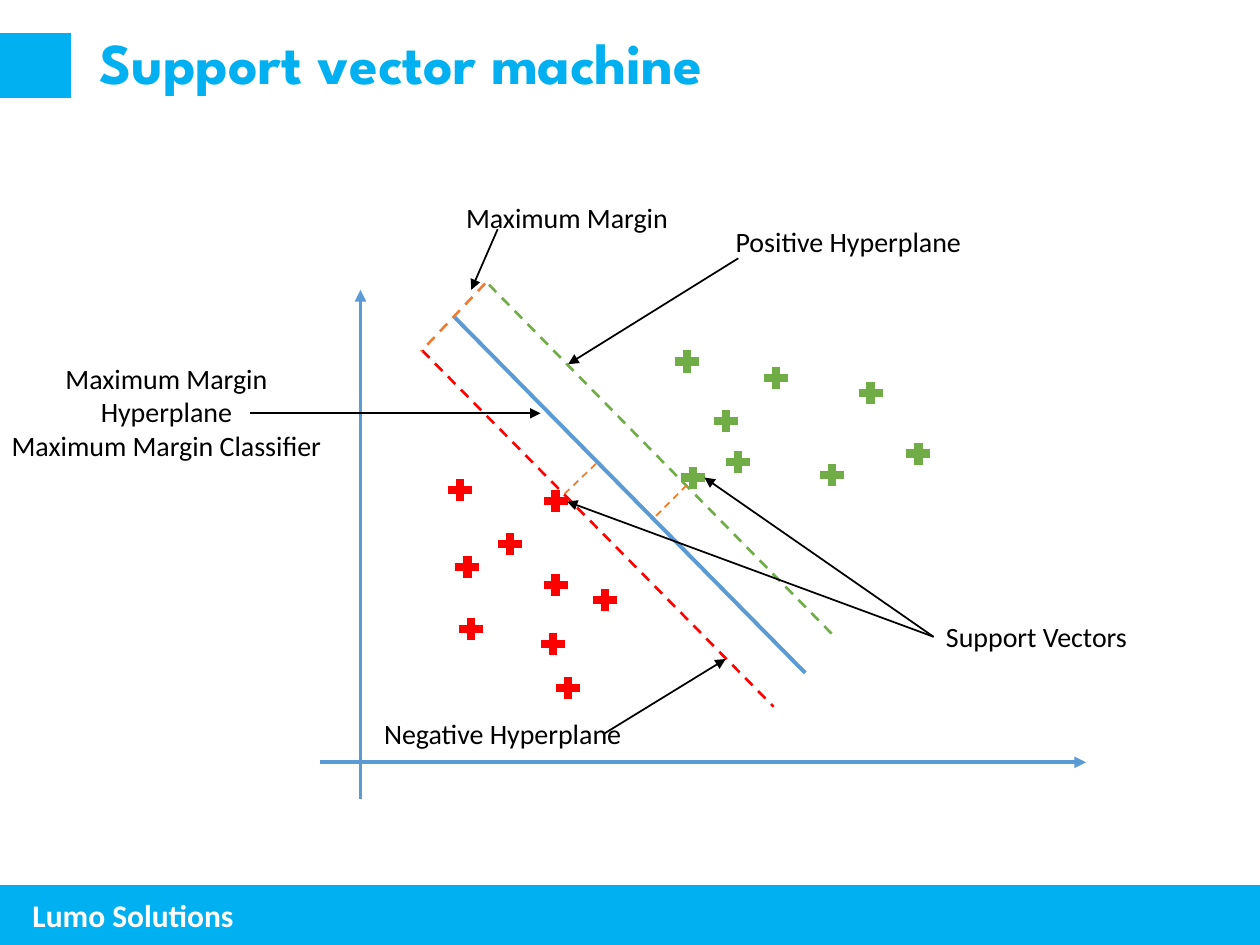
from lxml import etree
from pptx import Presentation
from pptx.dml.color import RGBColor
from pptx.enum.dml import MSO_LINE
from pptx.enum.shapes import MSO_CONNECTOR, MSO_SHAPE
from pptx.enum.text import MSO_ANCHOR, MSO_AUTO_SIZE, PP_ALIGN
from pptx.oxml.ns import qn
from pptx.util import Pt

CYAN = RGBColor(0x00, 0xB0, 0xF0)
BLUE = RGBColor(0x5B, 0x9B, 0xD5)
GREEN = RGBColor(0x70, 0xAD, 0x47)
RED = RGBColor(0xFF, 0x00, 0x00)
ORANGE = RGBColor(0xED, 0x7D, 0x31)
BLACK = RGBColor(0x00, 0x00, 0x00)
WHITE = RGBColor(0xFF, 0xFF, 0xFF)

TITLE = "Support vector machine"
FOOTER = "Lumo Solutions"
BANDS = [(0, 506.2, 720, 33.1), (0, 19.4, 40.3, 36)]

AXES = [(206, 456.5, 206, 165.6), (182.9, 435.6, 620.6, 435.6)]
HYPERPLANE = (259.9, 181.4, 460.1, 384.5)
MARGIN_LINES = [
    ((279.4, 162.7, 478.1, 365), GREEN, 1.5),
    ((241.2, 200.2, 442.1, 403.9), RED, 1.5),
    ((277.2, 162, 240.5, 200.9), ORANGE, 1.5),
    ((322.6, 282.2, 340.6, 265), ORANGE, 1),
    ((392.4, 277.2, 374.4, 295.2), ORANGE, 1),
]

PLUS_W, PLUS_H = 17.3, 15.8
POINTS = {
    RED: [(308.9, 278.6), (283, 303.1), (308.9, 326.2), (337, 334.8), (254.2, 272.2),
          (260.6, 351.4), (307.4, 360), (258.5, 316.1), (316.1, 385.2)],
    GREEN: [(387.4, 265), (488.9, 216.7), (406.1, 232.6), (413.3, 256.3),
            (383.8, 198.7), (466.6, 263.5), (516.2, 251.3), (434.9, 208.1)],
}

LABELS = [
    (["Maximum Margin"], (259.2, 110.9, 131, 26.6), PP_ALIGN.LEFT),
    (["Positive Hyperplane"], (413.3, 124.6, 144.7, 26.6), PP_ALIGN.LEFT),
    (["Negative Hyperplane"], (212.4, 406.1, 151.9, 26.6), PP_ALIGN.LEFT),
    (["Maximum Margin\vHyperplane", "Maximum Margin Classifier"],
     (-1.4, 203, 193, 65.5), PP_ALIGN.CENTER),
]
VECTORS_LABEL = (["Support Vectors"], (533.5, 350.6, 119.5, 26.6), PP_ALIGN.LEFT)
LABEL_ARROWS = [
    (142.6, 236.2, 308.9, 236.2),
    (284.4, 131, 269.3, 165.6),
    (421.9, 147.6, 324.7, 208.1),
    (345.6, 419, 414.7, 376.6),
]
VECTOR_ARROWS = [(533.5, 363.9, 402.5, 272.9), (533.5, 363.9, 324, 286.6)]


def add_shape(s, kind, box, color):
    sp = s.shapes.add_shape(kind, *map(Pt, box))
    sp.shadow.inherit = False
    sp.fill.solid()
    sp.fill.fore_color.rgb = color
    sp.line.color.rgb = color
    sp.line.width = Pt(1)
    etree.SubElement(sp.line._get_or_add_ln(), qn("a:miter"), lim="800000")


def add_line(s, ends, color, width, dash=False, arrow=False):
    c = s.shapes.add_connector(MSO_CONNECTOR.STRAIGHT, *map(Pt, ends))
    c.line.color.rgb = color
    c.line.width = Pt(width)
    if dash:
        c.line.dash_style = MSO_LINE.DASH
    if arrow:
        etree.SubElement(c.line._get_or_add_ln(), qn("a:tailEnd"), type="triangle")
    etree.SubElement(c._element.spPr, qn("a:effectLst"))
    return c


def add_text(s, lines, box, align, size=16, color=BLACK, bold=False, wrap=False):
    sp = s.shapes.add_textbox(*map(Pt, box))
    tf = sp.text_frame
    tf.word_wrap = wrap
    tf.auto_size = MSO_AUTO_SIZE.SHAPE_TO_FIT_TEXT
    for i, line in enumerate(lines):
        p = tf.add_paragraph() if i else tf.paragraphs[0]
        p.text = line
        p.alignment = align
        set_font(p, "Calibri", size, color, bold)
    return sp


def set_font(p, name, size, color, bold):
    p.font.name = name
    p.font.size = Pt(size)
    p.font.color.rgb = color
    p.font.bold = bold


def add_title(s):
    sp = s.shapes.title
    sp.left, sp.top, sp.width, sp.height = map(Pt, (49.7, 19.4, 620.6, 36))
    tf = sp.text_frame
    tf.text = TITLE
    tf.word_wrap = True
    tf.auto_size = MSO_AUTO_SIZE.NONE
    tf.vertical_anchor = MSO_ANCHOR.MIDDLE
    p = tf.paragraphs[0]
    p.alignment = PP_ALIGN.LEFT
    p.line_spacing = 0.9
    set_font(p, "League Spartan", 33, CYAN, True)


def main():
    prs = Presentation()
    prs.slide_width, prs.slide_height = Pt(720), Pt(540)
    s = prs.slides.add_slide(prs.slide_layouts[5])
    add_title(s)
    for box in BANDS:
        add_shape(s, MSO_SHAPE.RECTANGLE, box, CYAN)
    add_text(s, [FOOTER], (11.5, 508.3, 180, 28.8), PP_ALIGN.LEFT, 18, WHITE, True, wrap=True)

    for ends in AXES:
        add_line(s, ends, BLUE, 2.25, arrow=True)
    add_line(s, HYPERPLANE, BLUE, 2.25)
    for ends, color, width in MARGIN_LINES:
        add_line(s, ends, color, width, dash=True)
    for color, corners in POINTS.items():
        for x, y in corners:
            add_shape(s, MSO_SHAPE.MATH_PLUS, (x, y, PLUS_W, PLUS_H), color)

    for label in LABELS:
        add_text(s, *label)
    vectors = add_text(s, *VECTORS_LABEL)
    for ends in LABEL_ARROWS:
        add_line(s, ends, BLACK, 1, arrow=True)
    for ends in VECTOR_ARROWS:
        add_line(s, ends, BLACK, 1, arrow=True).begin_connect(vectors, 1)
    prs.save("out.pptx")


if __name__ == "__main__":
    main()
